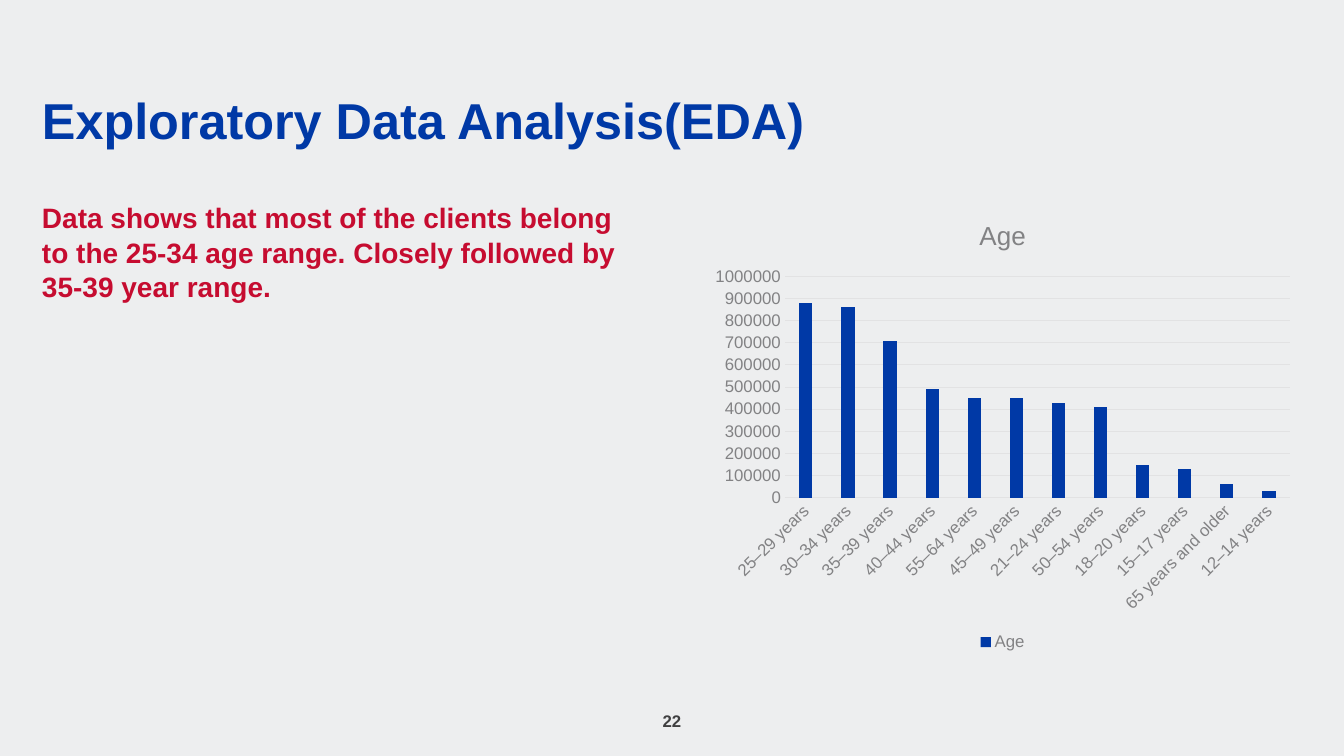
from dataclasses import dataclass

from pptx import Presentation
from pptx.chart.data import CategoryChartData
from pptx.dml.color import RGBColor
from pptx.enum.chart import XL_CHART_TYPE, XL_LEGEND_POSITION, XL_TICK_MARK
from pptx.enum.text import MSO_ANCHOR, PP_ALIGN
from pptx.util import Pt

COLUMN_CLUSTERED = XL_CHART_TYPE.COLUMN_CLUSTERED
LEGEND_BOTTOM = XL_LEGEND_POSITION.BOTTOM
NO_TICKS = XL_TICK_MARK.NONE
TOP, MIDDLE, BOTTOM = MSO_ANCHOR.TOP, MSO_ANCHOR.MIDDLE, MSO_ANCHOR.BOTTOM
LEFT, CENTER = PP_ALIGN.LEFT, PP_ALIGN.CENTER

CLIENTS_BY_AGE = {
    "25–29 years": 880000,
    "30–34 years": 860000,
    "35–39 years": 710000,
    "40–44 years": 490000,
    "55–64 years": 450000,
    "45–49 years": 450000,
    "21–24 years": 430000,
    "50–54 years": 410000,
    "18–20 years": 150000,
    "15–17 years": 130000,
    "65 years and older": 60000,
    "12–14 years": 30000,
}


@dataclass(frozen=True)
class Theme:
    font: str = "Arial"
    background: RGBColor = RGBColor(0xED, 0xEE, 0xEF)
    blue: RGBColor = RGBColor(0x00, 0x39, 0xA6)
    red: RGBColor = RGBColor(0xC6, 0x0C, 0x30)
    dark: RGBColor = RGBColor(0x40, 0x40, 0x41)
    gray: RGBColor = RGBColor(0x82, 0x82, 0x84)
    rule: RGBColor = RGBColor(0xE2, 0xE2, 0xE3)
    title_size: float = 36
    body_size: float = 20
    chart_title_size: float = 18.6
    small_size: float = 12
    rule_width: float = 0.75


class SlideBuilder:
    def __init__(self, slide, theme):
        self.slide = slide
        self.theme = theme
        fill = slide.background.fill
        fill.solid()
        fill.fore_color.rgb = theme.background

    def style_font(self, font, size, color, bold=False):
        font.name = self.theme.font
        font.size = Pt(size)
        font.bold = bold
        font.color.rgb = color

    def style_rule(self, line):
        line.color.rgb = self.theme.rule
        line.width = Pt(self.theme.rule_width)

    def add_text(self, text, box, size, color, anchor=TOP, align=LEFT, spacing=1.0):
        shape = self.slide.shapes.add_textbox(*map(Pt, box))
        frame = shape.text_frame
        frame.word_wrap = True
        frame.vertical_anchor = anchor
        frame.margin_left = frame.margin_right = 0
        frame.margin_top = frame.margin_bottom = 0
        paragraph = frame.paragraphs[0]
        paragraph.text = text
        paragraph.alignment = align
        paragraph.line_spacing = spacing
        self.style_font(paragraph.font, size, color, bold=True)

    def add_column_chart(self, name, values, box):
        theme = self.theme
        data = CategoryChartData()
        data.categories = list(values)
        data.add_series(name, list(values.values()))
        frame = self.slide.shapes.add_chart(COLUMN_CLUSTERED, *map(Pt, box), data)
        chart = frame.chart
        self.style_font(chart.font, theme.small_size, theme.gray)

        chart.has_title = True
        title = chart.chart_title.text_frame
        title.text = name
        self.style_font(title.paragraphs[0].font, theme.chart_title_size, theme.gray)

        chart.has_legend = True
        chart.legend.position = LEGEND_BOTTOM
        chart.legend.include_in_layout = False
        self.style_font(chart.legend.font, theme.small_size, theme.gray)

        for axis in (chart.category_axis, chart.value_axis):
            axis.major_tick_mark = axis.minor_tick_mark = NO_TICKS
            self.style_font(axis.tick_labels.font, theme.small_size, theme.gray)
        self.style_rule(chart.category_axis.format.line)
        chart.value_axis.format.line.fill.background()
        chart.value_axis.has_major_gridlines = True
        self.style_rule(chart.value_axis.major_gridlines.format.line)
        chart.value_axis.minimum_scale = 0
        chart.value_axis.maximum_scale = 1000000
        chart.value_axis.major_unit = 100000
        for body in chart.element.xpath(".//c:catAx/c:txPr/a:bodyPr"):
            body.set("rot", "-2700000")

        plot = chart.plots[0]
        plot.vary_by_categories = False
        plot.gap_width = 219
        plot.overlap = -27
        fill = plot.series[0].format.fill
        fill.solid()
        fill.fore_color.rgb = theme.blue


def main():
    presentation = Presentation()
    presentation.slide_width = Pt(960)
    presentation.slide_height = Pt(540)
    theme = Theme()
    slide = presentation.slides.add_slide(presentation.slide_layouts[6])
    builder = SlideBuilder(slide, theme)

    builder.add_text("Exploratory Data Analysis(EDA)", (30, 67.5, 900, 40),
                     theme.title_size, theme.blue, anchor=BOTTOM, spacing=0.9)
    builder.add_text(
        "Data shows that most of the clients belong to the 25-34 age range. "
        "Closely followed by 35-39 year range.",
        (30, 142, 427.5, 326), theme.body_size, theme.red, spacing=1.04)
    builder.add_column_chart("Age", CLIENTS_BY_AGE, (502.5, 142, 427.5, 326))
    builder.add_text("22", (372, 500.5, 216, 29), theme.small_size, theme.dark,
                     anchor=MIDDLE, align=CENTER)
    presentation.save("out.pptx")


if __name__ == "__main__":
    main()
